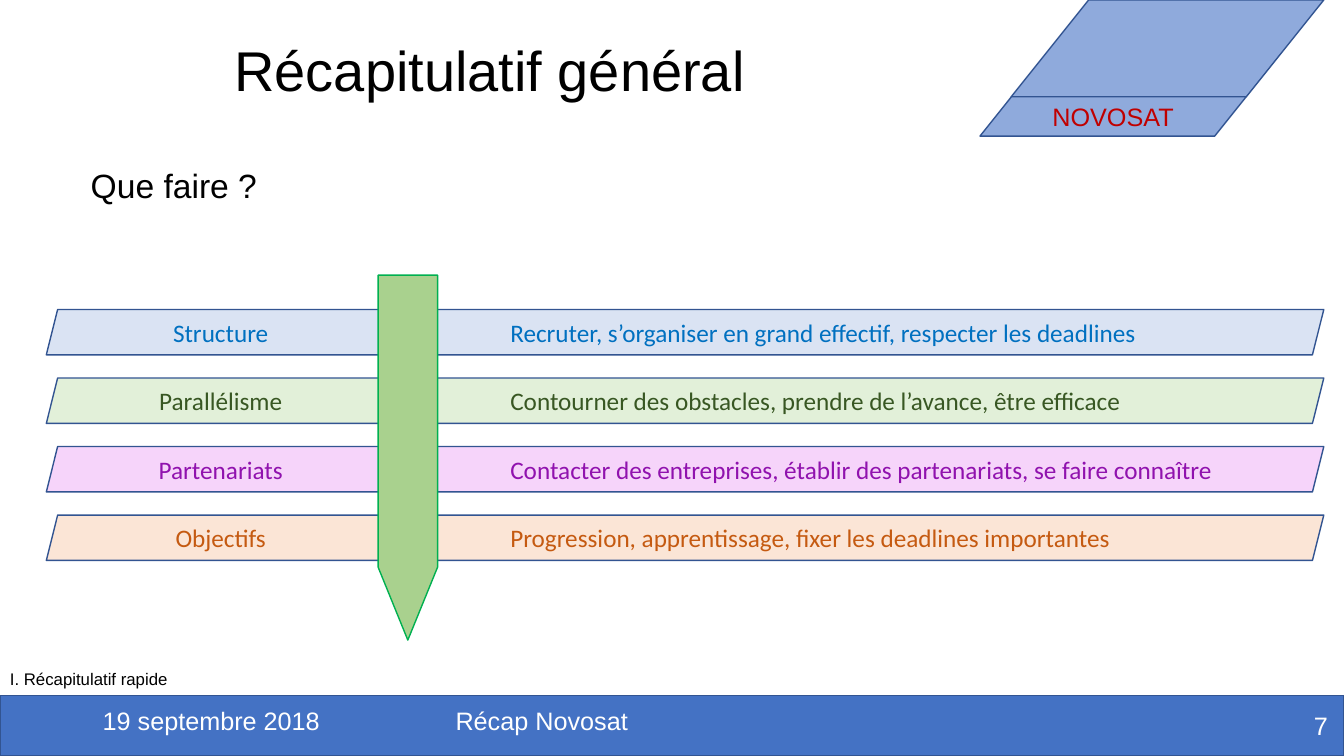
import pptx
import pptx.util
import pptx.dml.color
import pptx.enum.shapes
import pptx.enum.text

Inches, Pt = pptx.util.Inches, pptx.util.Pt
RGB = pptx.dml.color.RGBColor
SHAPE = pptx.enum.shapes.MSO_SHAPE
ALIGN = pptx.enum.text.PP_ALIGN
ANCHOR = pptx.enum.text.MSO_ANCHOR

BLACK, WHITE = RGB(0, 0, 0), RGB(255, 255, 255)
NAVY, BAND_BLUE, BADGE_BLUE = RGB(0x32, 0x54, 0x91), RGB(0x44, 0x72, 0xC4), RGB(0x8F, 0xAA, 0xDC)
RED = RGB(0xC0, 0, 0)
ARROW_GREEN, ARROW_EDGE = RGB(0xA9, 0xD1, 0x8E), RGB(0, 0xB0, 0x50)

TITLE = "Récapitulatif général"
QUESTION = "Que faire ?"
BADGE = "NOVOSAT"
SECTION = "I. Récapitulatif rapide"
THEMES = [  # theme, actions, fill, text colour
    ("Structure", "Recruter, s’organiser en grand effectif, respecter les deadlines",
     RGB(0xDA, 0xE3, 0xF3), RGB(0, 0x70, 0xC0)),
    ("Parallélisme", "Contourner des obstacles, prendre de l’avance, être efficace",
     RGB(0xE2, 0xF0, 0xD9), RGB(0x38, 0x57, 0x23)),
    ("Partenariats", "Contacter des entreprises, établir des partenariats, se faire connaître",
     RGB(0xF6, 0xD4, 0xFA), RGB(0x90, 0x12, 0xAE)),
    ("Objectifs", "Progression, apprentissage, fixer les deadlines importantes",
     RGB(0xFB, 0xE5, 0xD6), RGB(0xC5, 0x5A, 0x11)),
]
FOOTER = [  # text, left, top, width, alignment
    ("19 septembre 2018", 0.92, 6.95, 3, ALIGN.LEFT),
    ("Récap Novosat", 4.42, 6.95, 4.5, ALIGN.LEFT),
    ("7", 11.93, 7, 1.34, ALIGN.RIGHT),
]
ROW_TOP, ROW_PITCH, ROW_HEIGHT = 3.07, 0.68, 0.45

deck = pptx.Presentation()
deck.slide_width, deck.slide_height = Inches(13.33), Inches(7.5)
slide = deck.slides.add_slide(deck.slide_layouts[0])


def write(holder, text, size=18, font="Arial", color=BLACK, align=ALIGN.LEFT,
          anchor=ANCHOR.TOP, line_spacing=None, space_before=None):
    frame = holder.text_frame
    frame.word_wrap = True
    frame.auto_size = pptx.enum.text.MSO_AUTO_SIZE.NONE
    frame.vertical_anchor = anchor
    paragraph = frame.paragraphs[0]
    paragraph.alignment = align
    if line_spacing:
        paragraph.line_spacing = line_spacing
    if space_before:
        paragraph.space_before = Pt(space_before)
    run = paragraph.add_run()
    run.text = text
    run.font.size, run.font.name = Pt(size), font
    run.font.color.rgb = color


def draw(kind, left, top, width, height, fill, edge=NAVY, slant=None):
    shape = slide.shapes.add_shape(kind, *map(Inches, (left, top, width, height)))
    shape.shadow.inherit = False
    shape.fill.solid()
    shape.fill.fore_color.rgb = fill
    shape.line.color.rgb = edge
    shape.line.width = Pt(1)
    if slant:
        shape.adjustments[0] = slant
    return shape


def text_box(left, top, width, height):
    return slide.shapes.add_textbox(*map(Inches, (left, top, width, height)))


def place(holder, left, top, width, height):
    holder.left, holder.top, holder.width, holder.height = map(
        Inches, (left, top, width, height))
    return holder


draw(SHAPE.RECTANGLE, 0, 6.9, 13.33, 0.6, BAND_BLUE)
draw(SHAPE.PARALLELOGRAM, 10.03, 0, 3.1, 0.96, BADGE_BLUE, slant=0.8)
badge = draw(SHAPE.PARALLELOGRAM, 9.72, 0.96, 2.64, 0.39, BADGE_BLUE, slant=0.8)
write(badge, BADGE, color=RED, align=ALIGN.CENTER, anchor=ANCHOR.MIDDLE)

write(place(slide.shapes.title, 0.21, 0.11, 9.29, 1.23), TITLE, size=40,
      align=ALIGN.CENTER, anchor=ANCHOR.MIDDLE, line_spacing=0.9)
write(place(slide.placeholders[1], 0.8, 1.63, 10, 1.81), QUESTION, size=24,
      line_spacing=0.9, space_before=10)

for text, left, top, width, align in FOOTER:
    write(text_box(left, top, width, 0.4), text, color=WHITE, align=align)

for row, (theme, actions, fill, color) in enumerate(THEMES):
    top = ROW_TOP + row * ROW_PITCH
    for text, left, width, align in ((theme, 0.46, 3.46, ALIGN.CENTER),
                                     (actions, 4.17, 8.96, ALIGN.LEFT)):
        bar = draw(SHAPE.PARALLELOGRAM, left, top, width, ROW_HEIGHT, fill)
        write(bar, text, font="Calibri", color=color, align=align, anchor=ANCHOR.MIDDLE)

draw(SHAPE.FLOWCHART_OFFPAGE_CONNECTOR, 3.75, 2.73, 0.59, 3.62, ARROW_GREEN, ARROW_EDGE)
write(text_box(0, 6.49, 3.48, 0.51), SECTION, size=12, anchor=ANCHOR.MIDDLE, line_spacing=0.9)

deck.save("out.pptx")
